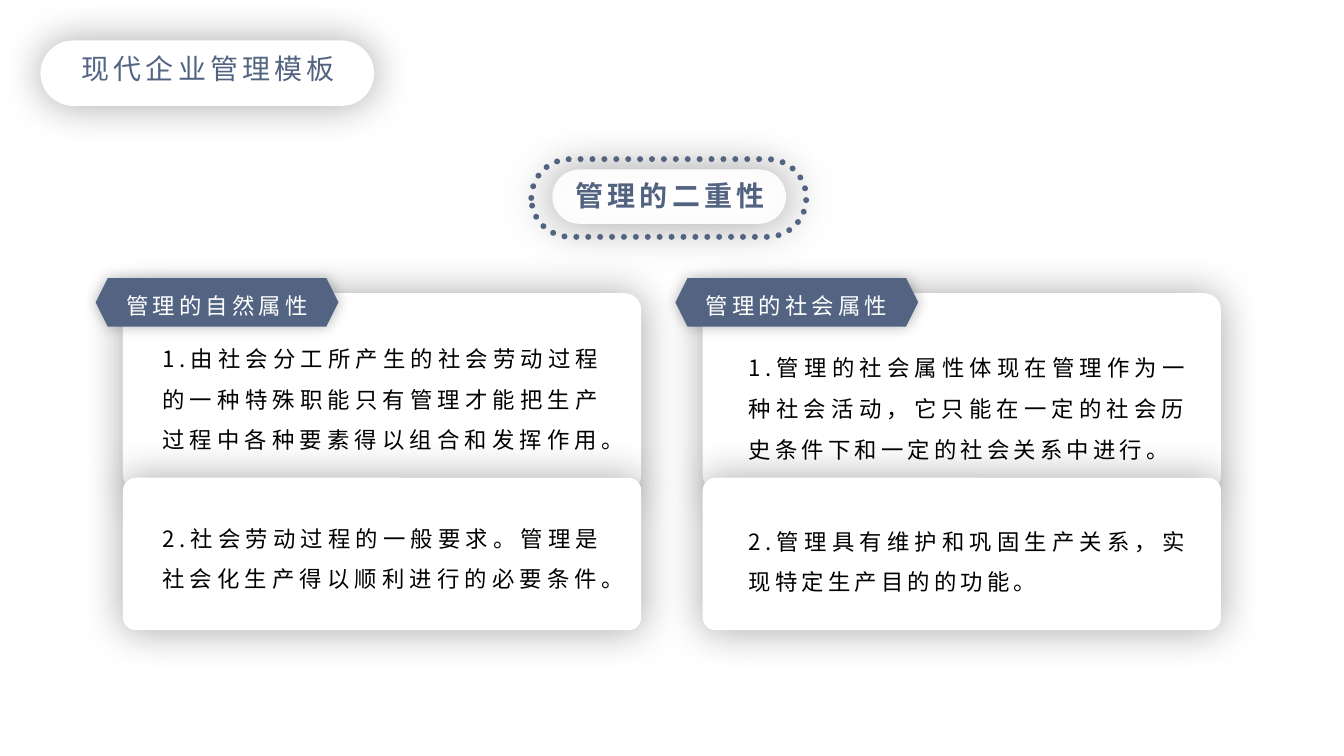
from lxml.etree import SubElement
from pptx import Presentation
from pptx.dml.color import RGBColor
from pptx.enum.dml import MSO_LINE
from pptx.enum.shapes import MSO_SHAPE
from pptx.enum.text import MSO_ANCHOR, MSO_AUTO_SIZE, PP_ALIGN
from pptx.oxml.ns import qn
from pptx.util import Cm, Pt

COLORS = {"white": "FFFFFF", "slate": "536482", "black": "000000"}
FONT = "Noto Sans CJK SC"
COLUMN_STEP = 14.61
CARDS = [(7.39, 5.0), (12.04, 3.84)]  # top, height
ITEM_HEIGHTS = [3.35, 2.21]

# Heading, text left, then top and wording of each item
COLUMNS = [
    ("管理的自然属性", 3.84, [
        (8.23, "1.由社会分工所产生的社会劳动过程的一种特殊职能只有管理才能把生产过程中各种要素得以组合和发挥作用。"),
        (12.75, "2.社会劳动过程的一般要求。管理是社会化生产得以顺利进行的必要条件。"),
    ]),
    ("管理的社会属性", 18.62, [
        (8.46, "1.管理的社会属性体现在管理作为一种社会活动，它只能在一定的社会历史条件下和一定的社会关系中进行。"),
        (12.83, "2.管理具有维护和巩固生产关系，实现特定生产目的的功能。"),
    ]),
]


def color(name):
    return RGBColor.from_string(COLORS[name])


class SlideBuilder:
    def __init__(self, slide):
        self.slide = slide
        self.shapes = slide.shapes

    def add_shadow(self, shape, opacity, blur):
        shape.shadow.inherit = False
        effects = shape._element.spPr.find(qn("a:effectLst"))
        shadow = SubElement(effects, qn("a:outerShdw"), blurRad=str(Pt(blur)),
                            dist="0", algn="ctr", rotWithShape="0")
        shade = SubElement(shadow, qn("a:srgbClr"), val=COLORS["black"])
        SubElement(shade, qn("a:alpha"), val=str(opacity * 1000))

    def add_panel(self, box, radius, fill="white"):
        shape = self.shapes.add_shape(MSO_SHAPE.ROUNDED_RECTANGLE, *map(Cm, box))
        shape.adjustments[0] = radius
        if fill:
            shape.fill.solid()
            shape.fill.fore_color.rgb = color(fill)
        else:
            shape.fill.background()
        shape.line.fill.background()
        self.add_shadow(shape, 35, 30)
        return shape

    def add_dotted_frame(self, box):
        shape = self.add_panel(box, 0.5, fill=None)
        shape.line.color.rgb = color("slate")
        shape.line.width = Pt(4.25)
        shape.line.dash_style = MSO_LINE.ROUND_DOT
        shape.line._get_or_add_ln().set("cap", "rnd")

    def add_tag(self, box):
        shape = self.shapes.add_shape(MSO_SHAPE.HEXAGON, *map(Cm, box))
        shape.fill.solid()
        shape.fill.fore_color.rgb = color("slate")
        shape.line.fill.background()
        self.add_shadow(shape, 27, 10)

    def add_text(self, text, box, **style):
        shape = self.shapes.add_textbox(*map(Cm, box))
        self.format_text(shape, text, **style)

    def fill_placeholder(self, index, text, box, **style):
        shape = self.slide.placeholders[index]
        shape.left, shape.top, shape.width, shape.height = map(Cm, box)
        self.shapes._spTree.append(shape._element)  # bring to front
        self.format_text(shape, text, **style)
        properties = shape.text_frame.paragraphs[0]._p.get_or_add_pPr()
        properties.set("marL", "0")
        properties.set("indent", "0")
        SubElement(properties, qn("a:buNone"))

    def format_text(self, shape, text, size=16, ink="black", bold=False,
                    align=PP_ALIGN.JUSTIFY, line_spacing=Pt(29)):
        frame = shape.text_frame
        frame.text = text
        frame.word_wrap = True
        frame.auto_size = MSO_AUTO_SIZE.NONE
        frame.vertical_anchor = MSO_ANCHOR.TOP
        paragraph = frame.paragraphs[0]
        paragraph.alignment = align
        paragraph.line_spacing = line_spacing
        paragraph.space_before = Pt(0)
        run = paragraph.runs[0]
        run.font.size = Pt(size)
        run.font.bold = bold
        run.font.color.rgb = color(ink)
        run.font.name = FONT
        properties = run.font._element
        properties.set("spc", "300")
        SubElement(properties, qn("a:ea"), typeface=FONT)


def main():
    presentation = Presentation()
    presentation.slide_width = Cm(33.87)
    presentation.slide_height = Cm(19.05)
    comparison_layout = presentation.slide_layouts[4]
    builder = SlideBuilder(presentation.slides.add_slide(comparison_layout))
    heading_style = dict(size=20, ink="slate", align=PP_ALIGN.LEFT, line_spacing=1.0)

    # Header pill
    builder.add_panel((1.02, 1.02, 8.41, 1.65), 0.5)
    builder.add_text("现代企业管理模板", (1.8, 1.17, 7.14, 1.12), **heading_style)

    # Two columns of stacked cards, each with a tag
    for column, (heading, text_left, items) in enumerate(COLUMNS):
        shift = column * COLUMN_STEP
        for top, height in CARDS:
            builder.add_panel((3.1 + shift, top, 13.06, height), 0.084)
        builder.add_tag((2.41 + shift, 7.01, 6.12, 1.22))
        builder.add_text(heading, (2.93 + shift, 6.88, 5.26, 1.17), ink="white")
        for row, (top, text) in enumerate(items):
            builder.fill_placeholder(1 + 2 * column + row, text,
                                     (text_left, top, 11.6, ITEM_HEIGHTS[row]))

    # Slide title in its dotted frame
    builder.add_panel((13.92, 4.27, 5.89, 1.37), 0.5)
    builder.fill_placeholder(0, "管理的二重性", (14.25, 4.37, 7.44, 1.12),
                             bold=True, **heading_style)
    builder.add_dotted_frame((13.39, 4.01, 6.93, 1.96))

    presentation.save("out.pptx")


if __name__ == "__main__":
    main()
